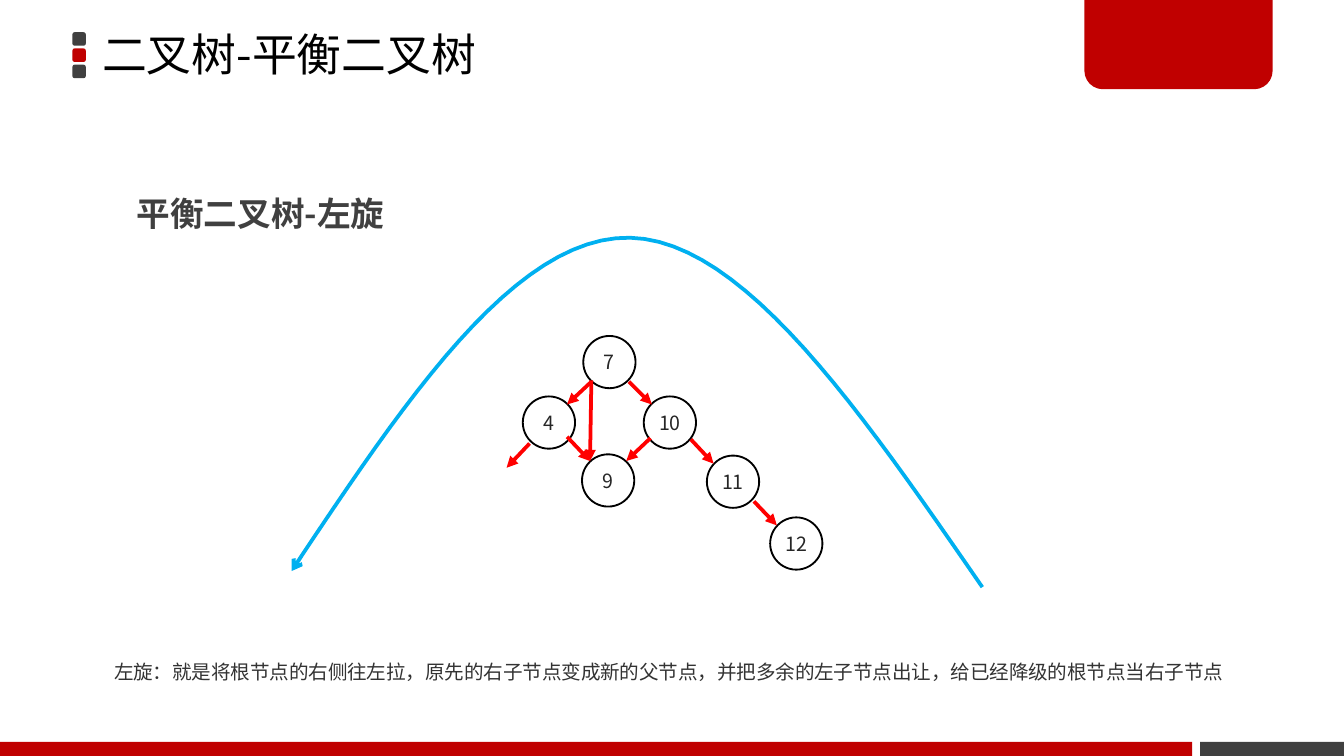
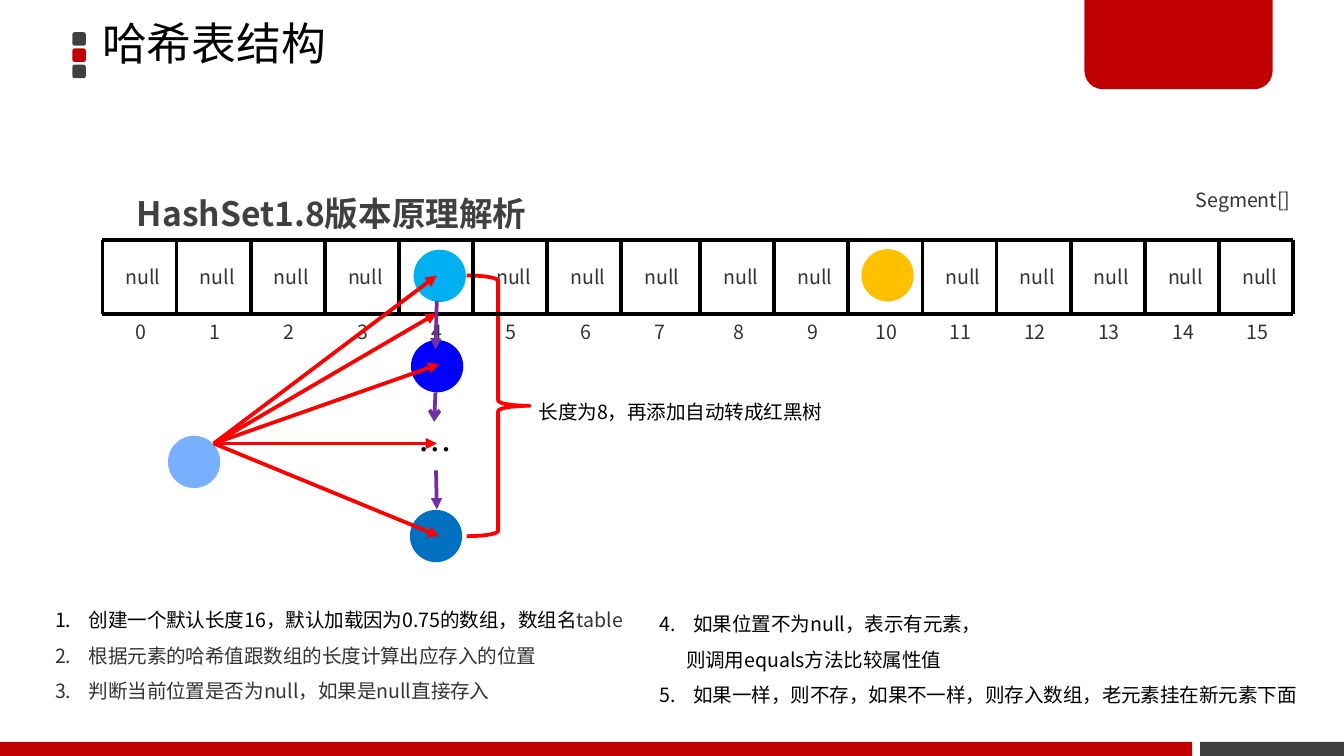
from lxml.etree import SubElement
from pptx import Presentation
from pptx.dml.color import RGBColor
from pptx.enum.shapes import MSO_CONNECTOR, MSO_SHAPE as SHAPE
from pptx.enum.text import MSO_ANCHOR as ANCHOR, MSO_AUTO_SIZE, PP_ALIGN as ALIGN
from pptx.oxml.ns import qn
from pptx.util import Pt

COLORS = {
    "black": "000000", "white": "FFFFFF", "charcoal": "404040", "node": "262626",
    "gray": "333333", "crimson": "C00000", "red": "FF0000", "sky": "00B0F0",
    "gold": "FFC000", "ocean": "0070C0", "blue": "0000FF", "pale": "79AFFF",
    "purple": "7030A0",
}
RGB = {name: RGBColor.from_string(value) for name, value in COLORS.items()}
BODY_FONT = "Noto Sans CJK SC"
TITLE_FONT = "Noto Sans CJK JP"
CIRCLE = 28
LOOSE = Pt(18.9)  # line pitch of running text


def write(shape, *lines, size=10.5, color="gray", font=BODY_FONT, bold=False,
          align=ALIGN.LEFT, anchor=ANCHOR.MIDDLE, wrap=True, spacing=None):
    """Fill a shape; a line is a string or a list of (text, color) spans."""
    frame = shape.text_frame
    frame.word_wrap = wrap
    frame.auto_size = MSO_AUTO_SIZE.NONE
    frame.vertical_anchor = anchor
    for index, line in enumerate(lines):
        para = frame.add_paragraph() if index else frame.paragraphs[0]
        para.alignment = align
        para.space_before = Pt(0)
        if spacing:
            para.line_spacing = spacing
        for text, tint in [(line, color)] if isinstance(line, str) else line:
            span = para.add_run()
            span.text = text
            span.font.size = Pt(size)
            span.font.bold = bold
            span.font.name = font
            span.font.color.rgb = RGB[tint]
            SubElement(span.font._element, qn("a:ea"), typeface=font)


def stroke(shape, color, width=2, head=None):
    """Give a line, outline or connector its colour, width and end arrow."""
    shape.line.color.rgb = RGB[color]
    shape.line.width = Pt(width)
    properties = shape.element.spPr
    if head:
        SubElement(properties.find(qn("a:ln")), qn("a:tailEnd"), type=head)
    if properties.find(qn("a:effectLst")) is None:
        SubElement(properties, qn("a:effectLst"))


deck = Presentation()
deck.slide_width, deck.slide_height = Pt(720), Pt(405)
tree_page = deck.slides.add_slide(deck.slide_layouts.get_by_name("Title Only"))
hash_page = deck.slides.add_slide(deck.slide_layouts.get_by_name("Two Content"))

# Shared decoration, moved onto the master
decorations = [
    (SHAPE.ROUNDED_RECTANGLE, 38.8, 17.3 + 8.7 * row, 7.2, 7.2, color)
    for row, color in enumerate(["charcoal", "crimson", "charcoal"])
] + [
    (SHAPE.RECTANGLE, 643, 397.5, 77, 7.5, "charcoal"),
    (SHAPE.ROUND_2_SAME_RECTANGLE, 581, -1.5, 100.8, 49.3, "crimson"),
    (SHAPE.RECTANGLE, 0, 397.5, 638.7, 7.5, "crimson"),
]
for kind, left, top, width, height, color in decorations:
    band = tree_page.shapes.add_shape(kind, Pt(left), Pt(top), Pt(width), Pt(height))
    band.fill.solid()
    band.fill.fore_color.rgb = RGB[color]
    band.line.fill.background()
    band.shadow.inherit = False
    if kind == SHAPE.ROUND_2_SAME_RECTANGLE:
        band.adjustments[0], band.adjustments[1] = 0, 0.2
    deck.slide_master.shapes.element.append(band.element)

# Titles and headings
headings = [
    (tree_page, "二叉树-平衡二叉树", -1.5, ANCHOR.MIDDLE, "平衡二叉树-左旋", 246),
    (hash_page, "哈希表结构", 8.6, ANCHOR.TOP, "HashSet1.8版本原理解析", 353.5),
]
for page, title_text, top, anchor, heading, width in headings:
    title = page.shapes.title
    title.left, title.top, title.width, title.height = Pt(49.7), Pt(top), Pt(424), Pt(64)
    frame = title.text_frame
    frame.margin_left = frame.margin_right = Pt(5)
    frame.margin_top = frame.margin_bottom = Pt(2.9)
    write(title, title_text, size=24, color="black", font=TITLE_FONT,
          anchor=anchor, spacing=0.9)
    box = page.shapes.add_textbox(Pt(66.2), Pt(89.3), Pt(width), Pt(40.3))
    write(box, heading, size=18, color="charcoal", bold=True,
          anchor=ANCHOR.TOP, spacing=Pt(32.4))

# Slide 1: balanced tree
nodes = [("9", 311.8, 243.4), ("7", 312.5, 180), ("4", 280.1, 212.4),
         ("10", 344.9, 212.4), ("11", 378.7, 244.1), ("12", 412.6, 277.2)]
for label, left, top in nodes:
    node = tree_page.shapes.add_shape(SHAPE.OVAL, Pt(left), Pt(top), Pt(CIRCLE), Pt(CIRCLE))
    node.fill.background()
    stroke(node, "black", 1)
    write(node, label, color="node", align=ALIGN.CENTER, wrap=False)

# Slide 1: rotation arc, two cubic curves
arc_curves = [
    [(526.3, 314.6), (462.2, 221.8), (398.9, 128.9), (337.7, 127.4)],
    [(337.7, 127.4), (275.8, 126), (216, 216), (156.2, 306)],
]
STEPS = 24
arc_points = []
for curve in arc_curves:
    for step in range(1, STEPS + 1):
        t = step / STEPS
        weights = [(1 - t) ** 3, 3 * t * (1 - t) ** 2, 3 * t ** 2 * (1 - t), t ** 3]
        arc_points.append(tuple(
            Pt(sum(w * point[axis] for w, point in zip(weights, curve))) for axis in (0, 1)))
start_x, start_y = arc_curves[0][0]
builder = tree_page.shapes.build_freeform(Pt(start_x), Pt(start_y))
builder.add_line_segments(arc_points, close=False)
arc = builder.convert_to_shape()
arc.fill.background()
stroke(arc, "sky", head="arrow")

note = tree_page.shapes.add_shape(SHAPE.RECTANGLE, Pt(54), Pt(350), Pt(622), Pt(20))
note.fill.solid()
note.fill.fore_color.rgb = RGB["white"]
note.line.fill.background()
note.shadow.inherit = False
write(note, "左旋：就是将根节点的右侧往左拉，原先的右子节点变成新的父节点，"
            "并把多余的左子节点出让，给已经降级的根节点当右子节点")

# Slide 2: array of 16 cells; cell 7 is a little wider
TOP, BOTTOM, CELL = 128.5, 168.2, 39.7
edges = [54.9 + CELL * i + (2.6 if i > 7 else 0) for i in range(17)]
grid_lines = [(edges[0], y, edges[-1], y) for y in (TOP, BOTTOM)]
grid_lines += [(x, TOP, x, BOTTOM) for x in edges]

labels = []
for index, edge in enumerate(edges[:-1]):
    if index not in (4, 10):
        labels.append(("null", edge + 5.3, 138.2, 33))
    width = 21 if index < 10 else 27
    labels.append((str(index), edge + 20.5 - width / 2, 167.8, width))
for text, left, top, width in labels:
    box = hash_page.shapes.add_textbox(Pt(left), Pt(top), Pt(width), Pt(20))
    write(box, text, align=ALIGN.CENTER, wrap=False)
box = hash_page.shapes.add_textbox(Pt(633.6), Pt(97.2), Pt(67), Pt(20))
write(box, "Segment[]")

entries = [("gold", 461.5, 133.5), ("ocean", 219.6, 273.2), ("blue", 220.2, 182.2),
           ("sky", 221.6, 133.8), ("pale", 90, 233.5)]
for color, left, top in entries:
    entry = hash_page.shapes.add_shape(SHAPE.OVAL, Pt(left), Pt(top), Pt(CIRCLE), Pt(CIRCLE))
    entry.fill.solid()
    entry.fill.fore_color.rgb = RGB[color]
    entry.line.fill.background()
    entry.shadow.inherit = False

box = hash_page.shapes.add_textbox(Pt(218.2), Pt(226), Pt(29.5), Pt(29))
write(box, "…", size=18, color="black", align=ALIGN.CENTER, wrap=False)
brace = hash_page.shapes.add_shape(SHAPE.RIGHT_BRACE, Pt(250), Pt(147.6), Pt(33.8), Pt(139.7))
brace.fill.background()
stroke(brace, "red")
box = hash_page.shapes.add_textbox(Pt(281.5), Pt(204.5), Pt(169), Pt(45))
write(box, "长度为8，再添加自动转成红黑树", color="black", anchor=ANCHOR.TOP, spacing=LOOSE)

# All straight lines and arrows
tree_links = [
    (348.5, 234.7, 335.5, 247), (316.8, 204.5, 303.8, 216.7), (337, 204.5, 349.2, 216.7),
    (370.1, 235.4, 382.3, 248.4), (403.9, 268.6, 416.2, 281.5), (283.7, 237.6, 271.4, 250.6),
    (303.8, 234, 316.1, 247), (316.8, 203.8, 316.1, 247),
]
chain_links = [(234, 161.3, 233.3, 187.2), (233.6, 252, 234, 272.9)]
lookups = [(114.5, 237.6, x, y) for x, y in
           [(234, 167.8), (234, 147.6), (235.4, 195.1), (234, 237.6), (235.4, 287.3)]]
line_groups = [
    (tree_page, tree_links, "red", "triangle"),
    (hash_page, grid_lines, "black", None),
    (hash_page, chain_links, "purple", "triangle"),
    (hash_page, [(233.3, 210.2, 232.6, 226)], "purple", "arrow"),
    (hash_page, lookups, "red", "triangle"),
]
for page, lines, color, head in line_groups:
    for ends in lines:
        link = page.shapes.add_connector(MSO_CONNECTOR.STRAIGHT, *map(Pt, ends))
        stroke(link, color, head=head)

# Slide 2: numbered steps; a line without a number continues the one above
steps = [
    (1, 22.3, 316, 325, "gray", [
        (1, [("创建一个默认长度16，默认加载因为0.75的数组，数组名", "black"), ("table", "gray")]),
        (2, "根据元素的哈希值跟数组的长度计算出应存入的位置"),
        (3, "判断当前位置是否为null，如果是null直接存入")]),
    (2, 346.3, 318.2, 361.5, "black", [
        (4, "如果位置不为null，表示有元素，"),
        (None, "则调用equals方法比较属性值"),
        (5, "如果一样，则不存，如果不一样，则存入数组，老元素挂在新元素下面")]),
]
for slot, left, top, width, color, items in steps:
    body = hash_page.placeholders[slot]
    body.left, body.top, body.width, body.height = Pt(left), Pt(top), Pt(width), Pt(65)
    write(body, *[line for _, line in items], color=color, anchor=ANCHOR.TOP, spacing=LOOSE)
    for para, (number, _) in zip(body.text_frame.paragraphs, items):
        properties = para._p.get_or_add_pPr()
        properties.set("marL", str(Pt(18 if number else 14)))
        properties.set("indent", str(Pt(-18 if number else 0)))
        if number:
            SubElement(properties, qn("a:buFont"), typeface=BODY_FONT)
            SubElement(properties, qn("a:buAutoNum"), type="arabicPeriod",
                       startAt=str(number if slot == 2 else 1))
        else:
            SubElement(properties, qn("a:buNone"))

deck.save("out.pptx")
